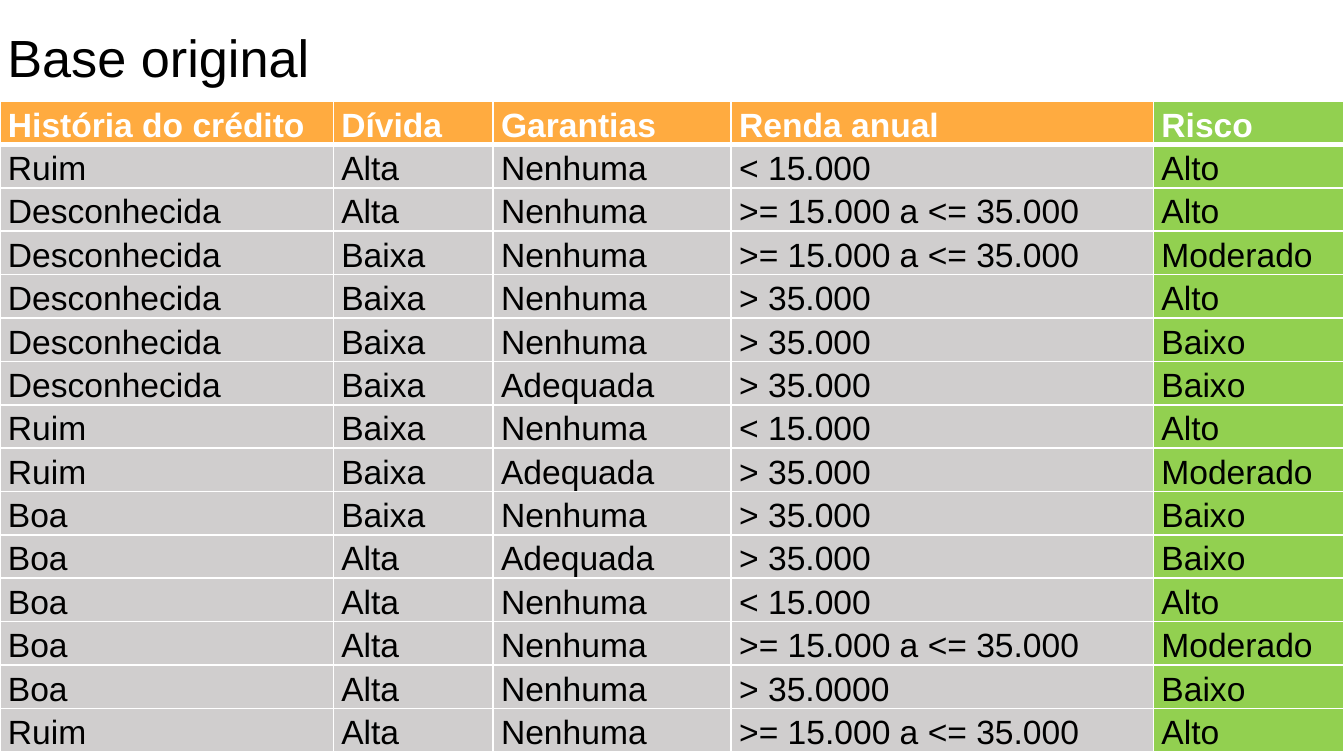
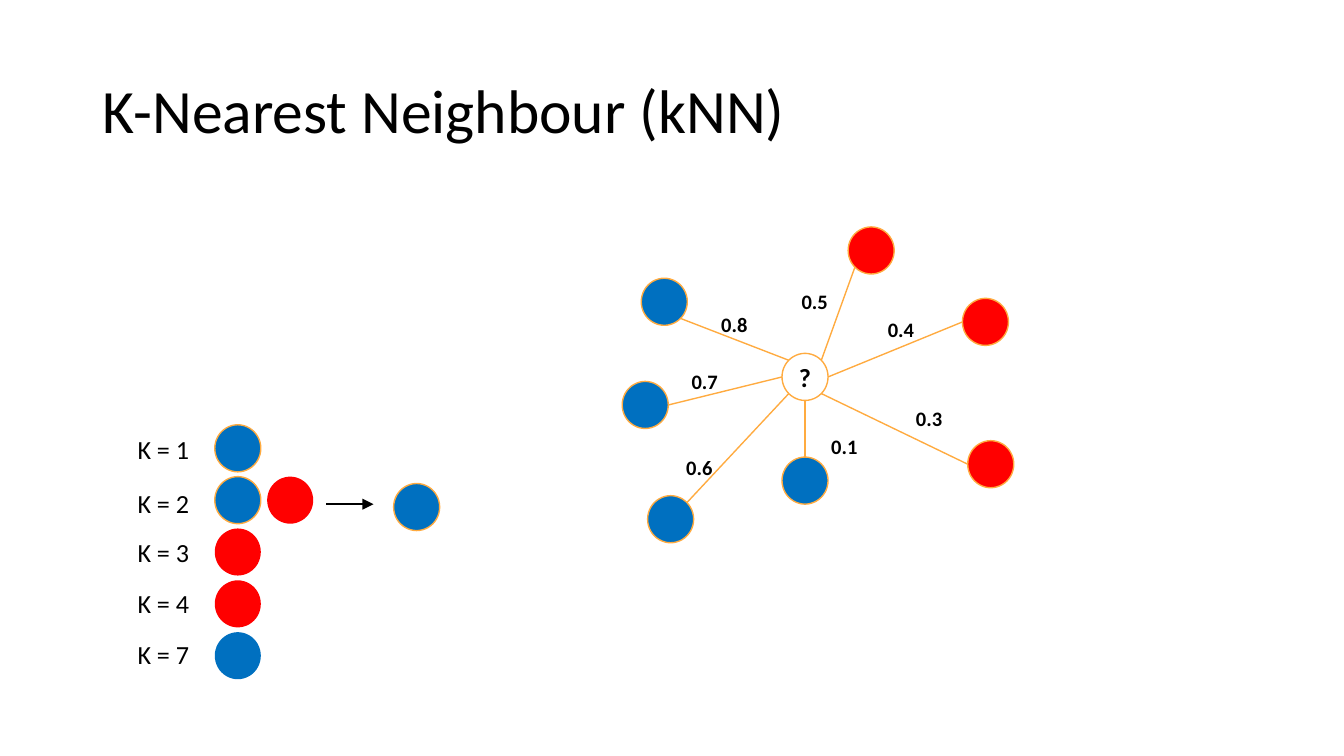
from dataclasses import dataclass
from math import cos, radians, sin
from typing import NamedTuple

from lxml import etree
from pptx import Presentation
from pptx.dml.color import RGBColor
from pptx.enum.shapes import MSO_CONNECTOR, MSO_SHAPE
from pptx.enum.text import MSO_ANCHOR, MSO_AUTO_SIZE, PP_ALIGN
from pptx.oxml.ns import qn
from pptx.util import Cm, Pt

STRAIGHT = MSO_CONNECTOR.STRAIGHT
ELLIPSE = MSO_SHAPE.OVAL
TOP, MIDDLE = MSO_ANCHOR.TOP, MSO_ANCHOR.MIDDLE
LEFT, CENTER = PP_ALIGN.LEFT, PP_ALIGN.CENTER
NO_AUTOFIT = MSO_AUTO_SIZE.NONE
TITLE_ONLY = 5


@dataclass(frozen=True)
class Theme:
    black: RGBColor = RGBColor(0x00, 0x00, 0x00)
    white: RGBColor = RGBColor(0xFF, 0xFF, 0xFF)
    orange: RGBColor = RGBColor(0xFF, 0xAB, 0x40)
    green: RGBColor = RGBColor(0x92, 0xD0, 0x50)
    gray: RGBColor = RGBColor(0xD0, 0xCE, 0xCE)
    red: RGBColor = RGBColor(0xFF, 0x00, 0x00)
    blue: RGBColor = RGBColor(0x00, 0x70, 0xC0)
    table_font: str = "Arial"
    diagram_font: str = "Calibri"
    table_title: float = 28
    diagram_title: float = 33
    table_text: float = 18
    label: float = 14
    distance: float = 11
    thin: float = 0.75
    border: float = 1
    header_border: float = 3


THEME = Theme()


class Box(NamedTuple):
    """Position and size in centimetres."""
    left: float
    top: float
    width: float
    height: float

    def lengths(self) -> list[Cm]:
        return [Cm(value) for value in self]


class Point(NamedTuple):
    x: float
    y: float


class Neighbour(NamedTuple):
    """A known point; angles are clockwise degrees from the right."""
    corner: Point
    color: RGBColor
    distance: str
    distance_corner: Point
    query_angle: int
    own_angle: int


class Vote(NamedTuple):
    k: int
    label_top: float
    colors: tuple[RGBColor, ...]
    outlined: int  # how many leading circles have an outline


CIRCLE_WIDTH, CIRCLE_HEIGHT = 0.87, 0.89
QUERY = Point(14.78, 6.68)
NEIGHBOURS = [
    Neighbour(Point(16.03, 4.29), THEME.red, "0.5", Point(14.96, 5.36), 315, 135),
    Neighbour(Point(18.19, 5.64), THEME.red, "0.4", Point(16.59, 5.89), 0, 180),
    Neighbour(Point(18.29, 8.33), THEME.red, "0.3", Point(17.12, 7.57), 45, 180),
    Neighbour(Point(14.78, 8.64), THEME.blue, "0.1", Point(15.52, 8.1), 90, 270),
    Neighbour(Point(12.24, 9.37), THEME.blue, "0.6", Point(12.78, 8.51), 135, 315),
    Neighbour(Point(11.76, 7.21), THEME.blue, "0.7", Point(12.88, 6.88), 180, 0),
    Neighbour(Point(12.12, 5.26), THEME.blue, "0.8", Point(13.44, 5.79), 225, 45),
]

VOTES_START = Point(4.06, 8.03)
VOTE_ROW_STEP, VOTE_COLUMN_STEP = 0.98, 0.99
VOTES = [
    Vote(1, 8.1, (THEME.blue,), 1),
    Vote(2, 9.12, (THEME.blue, THEME.red), 1),
    Vote(3, 10.03, (THEME.red,), 0),
    Vote(4, 11, (THEME.red,), 0),
    Vote(7, 11.96, (THEME.blue,), 0),
]

COLUMN_WIDTHS = [6.3, 3.02, 4.5, 7.98, 3.6]
ROW_HEIGHT = 0.82
MIDDLE_INCOME = ">= 15.000 a <= 35.000"
CREDIT_ROWS = [
    ("História do crédito", "Dívida", "Garantias", "Renda anual", "Risco"),
    ("Ruim", "Alta", "Nenhuma", "< 15.000", "Alto"),
    ("Desconhecida", "Alta", "Nenhuma", MIDDLE_INCOME, "Alto"),
    ("Desconhecida", "Baixa", "Nenhuma", MIDDLE_INCOME, "Moderado"),
    ("Desconhecida", "Baixa", "Nenhuma", "> 35.000", "Alto"),
    ("Desconhecida", "Baixa", "Nenhuma", "> 35.000", "Baixo"),
    ("Desconhecida", "Baixa", "Adequada", "> 35.000", "Baixo"),
    ("Ruim", "Baixa", "Nenhuma", "< 15.000", "Alto"),
    ("Ruim", "Baixa", "Adequada", "> 35.000", "Moderado"),
    ("Boa", "Baixa", "Nenhuma", "> 35.000", "Baixo"),
    ("Boa", "Alta", "Adequada", "> 35.000", "Baixo"),
    ("Boa", "Alta", "Nenhuma", "< 15.000", "Alto"),
    ("Boa", "Alta", "Nenhuma", MIDDLE_INCOME, "Moderado"),
    ("Boa", "Alta", "Nenhuma", "> 35.0000", "Baixo"),
    ("Ruim", "Alta", "Nenhuma", MIDDLE_INCOME, "Alto"),
]


def write(frame, text: str, *, size: float, font: str = THEME.diagram_font,
          color: RGBColor = THEME.black, bold: bool = False, align=LEFT,
          spacing: float = 1.0) -> None:
    paragraph = frame.paragraphs[0]
    paragraph.alignment = align
    paragraph.line_spacing = spacing
    run = paragraph.add_run()
    run.text = text
    run.font.name = font
    run.font.size = Pt(size)
    run.font.bold = bold
    run.font.color.rgb = color


def fit_frame(frame, anchor) -> None:
    """Give a shape's text frame the shared insets, wrapping and no autofit."""
    frame.word_wrap = True
    frame.auto_size = NO_AUTOFIT
    frame.vertical_anchor = anchor
    frame.margin_left = frame.margin_right = Cm(0.19)
    frame.margin_top = frame.margin_bottom = Cm(0.1)


def add_titled_slide(deck, title: str, box: Box, *, size: float, font: str):
    slide = deck.slides.add_slide(deck.slide_layouts[TITLE_ONLY])
    holder = slide.shapes.title
    holder.left, holder.top, holder.width, holder.height = box.lengths()
    fit_frame(holder.text_frame, MIDDLE)
    write(holder.text_frame, title, size=size, font=font, spacing=0.9)
    return slide


def add_label(slide, text: str, box: Box, *, size: float, bold: bool = False) -> None:
    frame = slide.shapes.add_textbox(*box.lengths()).text_frame
    fit_frame(frame, TOP)
    write(frame, text, size=size, bold=bold)


def add_circle(slide, corner: Point, color: RGBColor | None = None,
               outlined: bool = True):
    circle = slide.shapes.add_shape(
        ELLIPSE, *Box(*corner, CIRCLE_WIDTH, CIRCLE_HEIGHT).lengths())
    circle.shadow.inherit = False
    if color is None:
        circle.fill.background()
    else:
        circle.fill.solid()
        circle.fill.fore_color.rgb = color
    if outlined:
        circle.line.color.rgb = THEME.orange
        circle.line.width = Pt(THEME.thin)
    else:
        circle.line.fill.background()
    return circle


def add_line(slide, start: Point, end: Point, color: RGBColor, arrow: bool = False) -> None:
    line = slide.shapes.add_connector(
        STRAIGHT, *(Cm(value) for value in (*start, *end)))
    line.line.color.rgb = color
    line.line.width = Pt(THEME.thin)
    properties = line._element.spPr
    if arrow:
        etree.SubElement(properties.find(qn("a:ln")), qn("a:tailEnd"), type="triangle")
    etree.SubElement(properties, qn("a:effectLst"))


def rim_point(corner: Point, angle: int) -> Point:
    """Point on the rim of the circle whose bounding box starts at corner."""
    turn = radians(angle)
    return Point(corner.x + CIRCLE_WIDTH / 2 * (1 + cos(turn)),
                 corner.y + CIRCLE_HEIGHT / 2 * (1 + sin(turn)))


def set_borders(cell, top: float, bottom: float) -> None:
    properties = cell._tc.get_or_add_tcPr()
    widths = {"a:lnL": THEME.border, "a:lnR": THEME.border, "a:lnT": top, "a:lnB": bottom}
    for side, width in widths.items():
        edge = etree.SubElement(properties, qn(side), w=str(Pt(width)))
        fill = etree.SubElement(edge, qn("a:solidFill"))
        etree.SubElement(fill, qn("a:srgbClr"), val=str(THEME.white))


def fill_cell(cell, text: str, row: int, is_risk: bool) -> None:
    is_header = row == 0
    cell.margin_left = cell.margin_right = Cm(0.15)
    cell.margin_top = cell.margin_bottom = 0
    set_borders(cell, top=THEME.header_border if row == 1 else THEME.border,
                bottom=THEME.header_border if is_header else THEME.border)
    cell.fill.solid()
    plain = THEME.orange if is_header else THEME.gray
    cell.fill.fore_color.rgb = THEME.green if is_risk else plain
    write(cell.text_frame, text, size=THEME.table_text, font=THEME.table_font,
          color=THEME.white if is_header else THEME.black, bold=is_header, spacing=1.15)


def build_credit_slide(deck) -> None:
    slide = add_titled_slide(deck, "Base original", Box(-0.05, -0.05, 17.15, 2.39),
                             size=THEME.table_title, font=THEME.table_font)
    area = Box(0, 1.91, sum(COLUMN_WIDTHS), ROW_HEIGHT * len(CREDIT_ROWS))
    table = slide.shapes.add_table(
        len(CREDIT_ROWS), len(COLUMN_WIDTHS), *area.lengths()).table
    table.first_row = table.horz_banding = False
    for column, width in zip(table.columns, COLUMN_WIDTHS):
        column.width = Cm(width)
    for row, values in enumerate(CREDIT_ROWS):
        table.rows[row].height = Cm(ROW_HEIGHT)
        for column, value in enumerate(values):
            fill_cell(table.cell(row, column), value, row, column == len(values) - 1)


def draw_neighbours(slide) -> None:
    for neighbour in NEIGHBOURS:
        add_circle(slide, neighbour.corner, neighbour.color)
        add_line(slide, rim_point(neighbour.corner, neighbour.own_angle),
                 rim_point(QUERY, neighbour.query_angle), THEME.orange)
        add_label(slide, neighbour.distance, Box(*neighbour.distance_corner, 1.02, 0.64),
                  size=THEME.distance, bold=True)
    query = add_circle(slide, QUERY)
    fit_frame(query.text_frame, MIDDLE)
    write(query.text_frame, "?", size=THEME.label, bold=True, align=CENTER)


def draw_votes(slide) -> None:
    for row, vote in enumerate(VOTES):
        add_label(slide, f"K = {vote.k}", Box(2.41, vote.label_top, 2.13, 0.76),
                  size=THEME.label)
        for column, color in enumerate(vote.colors):
            corner = Point(VOTES_START.x + column * VOTE_COLUMN_STEP,
                           VOTES_START.y + row * VOTE_ROW_STEP)
            add_circle(slide, corner, color, outlined=column < vote.outlined)
    add_line(slide, Point(6.17, 9.53), Point(7.06, 9.53), THEME.black, arrow=True)
    add_circle(slide, Point(7.44, 9.14), THEME.blue)


def build_knn_slide(deck) -> None:
    slide = add_titled_slide(deck, "K-Nearest Neighbour (kNN)", Box(1.75, 0.76, 21.9, 2.77),
                             size=THEME.diagram_title, font=THEME.diagram_font)
    draw_neighbours(slide)
    draw_votes(slide)


def main() -> None:
    deck = Presentation()
    deck.slide_width, deck.slide_height = Cm(25.4), Cm(14.29)
    build_credit_slide(deck)
    build_knn_slide(deck)
    deck.save("out.pptx")


if __name__ == "__main__":
    main()
